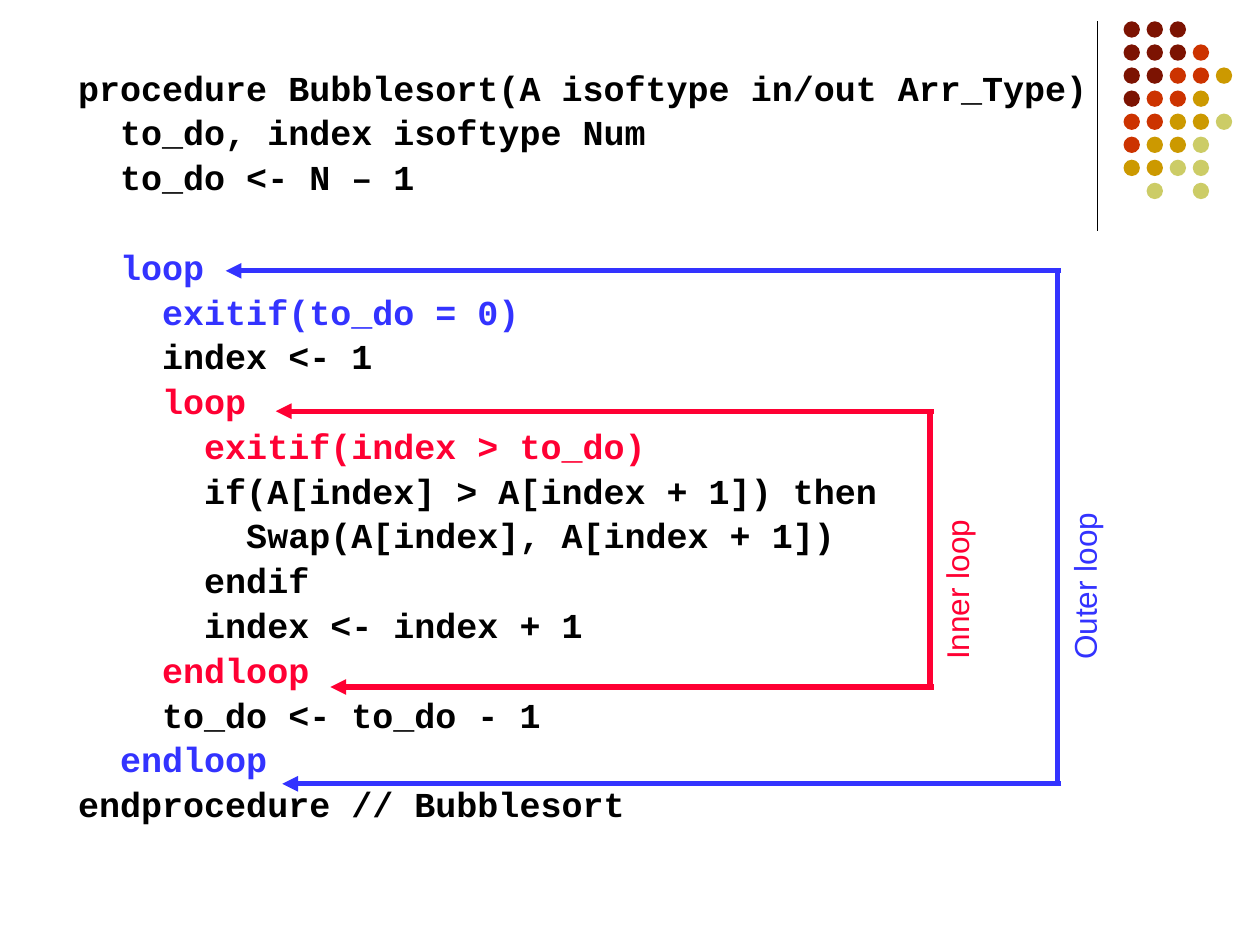
from lxml import etree
from pptx import Presentation
from pptx.dml.color import RGBColor
from pptx.enum.shapes import MSO_CONNECTOR, MSO_SHAPE
from pptx.enum.text import MSO_ANCHOR, MSO_AUTO_SIZE
from pptx.oxml.ns import qn
from pptx.util import Cm, Pt

STRAIGHT = MSO_CONNECTOR.STRAIGHT
OVAL = MSO_SHAPE.OVAL
TOP = MSO_ANCHOR.TOP
NO_AUTOFIT = MSO_AUTO_SIZE.NONE

COLORS = {
    "code": "000000", "outer": "3333FF", "inner": "FF0033",
    "maroon": "7C1302", "red": "CC3300", "gold": "CC9900", "olive": "CCCC66",
}


def color(name):
    return RGBColor.from_string(COLORS[name])


def add_line(x1, y1, x2, y2, color_name, width, arrow=False):
    line = slide.shapes.add_connector(STRAIGHT, Cm(x1), Cm(y1), Cm(x2), Cm(y2))
    line.line.color.rgb = color(color_name)
    line.line.width = Pt(width)
    if arrow:
        etree.SubElement(line.line._get_or_add_ln(), qn("a:tailEnd"), type="triangle")
    etree.SubElement(line._element.spPr, qn("a:effectLst"))


prs = Presentation()
prs.slide_width, prs.slide_height = Cm(25.4), Cm(19.05)
slide = prs.slides.add_slide(prs.slide_layouts[1])
title = slide.shapes.title
title._element.getparent().remove(title._element)

# Corner decoration: a rule and a grid of dots
add_line(22.12, 0.43, 22.12, 4.65, "code", 0.75)
DOT_ROWS = ["MMM", "MMMR", "MMRRG", "MRRG", "RRGGO", "RGGO", "GGOO", " O O"]
DOT_COLORS = {"M": "maroon", "R": "red", "G": "gold", "O": "olive"}
DOT_SIZE = 0.33
DOT_PITCH = 1.86 / 4
for row, letters in enumerate(DOT_ROWS):
    for column, letter in enumerate(letters):
        if letter == " ":
            continue
        dot = slide.shapes.add_shape(
            OVAL, Cm(22.65 + column * DOT_PITCH), Cm(0.43 + row * DOT_PITCH),
            Cm(DOT_SIZE), Cm(DOT_SIZE))
        dot.shadow.inherit = False
        dot.fill.solid()
        dot.fill.fore_color.rgb = color(DOT_COLORS[letter])
        dot.line.fill.background()

# Pseudocode: line and colour
CODE = [
    ("procedure Bubblesort(A isoftype in/out Arr_Type)", "code"),
    ("  to_do, index isoftype Num", "code"),
    ("  to_do <- N – 1", "code"),
    ("  loop", "outer"),
    ("    exitif(to_do = 0)", "outer"),
    ("    index <- 1", "code"),
    ("    loop", "inner"),
    ("      exitif(index > to_do)", "inner"),
    ("      if(A[index] > A[index + 1]) then", "code"),
    ("        Swap(A[index], A[index + 1])", "code"),
    ("      endif", "code"),
    ("      index <- index + 1", "code"),
    ("    endloop", "inner"),
    ("    to_do <- to_do - 1", "code"),
    ("  endloop", "outer"),
    ("endprocedure // Bubblesort", "code"),
]
LINE_GAP, SECTION_GAP = 4, 29.6
SECTION_START = 3
procedure = slide.placeholders[1]
procedure.left, procedure.top = Cm(1.32), Cm(1.3)
procedure.width, procedure.height = Cm(22.91), Cm(16.08)
frame = procedure.text_frame
frame.auto_size = NO_AUTOFIT
frame.vertical_anchor = TOP
for number, (code, color_name) in enumerate(CODE):
    paragraph = frame.paragraphs[0] if number == 0 else frame.add_paragraph()
    paragraph.text = code
    properties = paragraph._p.get_or_add_pPr()
    properties.set("marL", "0")
    properties.set("indent", "0")
    etree.SubElement(properties, qn("a:buNone"))
    paragraph.line_spacing = 0.9
    if number == 0:
        paragraph.space_before = Pt(0)
    else:
        paragraph.space_before = Pt(SECTION_GAP if number == SECTION_START else LINE_GAP)
    paragraph.font.name = "Courier New"
    paragraph.font.size = Pt(20)
    paragraph.font.bold = True
    paragraph.font.color.rgb = color(color_name)

# Loop brackets: colour, side x, top y, bottom y, arrow tips at top and bottom,
# then the label with its centre and length
LOOPS = [
    ("inner", 18.75, 8.29, 13.85, 5.56, 6.66, "Inner loop", 19.41, 11.25, 4.6),
    ("outer", 21.32, 5.46, 15.8, 4.55, 5.69, "Outer loop", 21.99, 11.16, 4.78),
]
OVERLAP = 0.07
LABEL_HEIGHT = 1.27
for name, side, top, bottom, top_tip, bottom_tip, text, mid_x, mid_y, length in LOOPS:
    for y, tip in ((top, top_tip), (bottom, bottom_tip)):
        add_line(side + OVERLAP, y, tip, y, name, 3, arrow=True)
    add_line(side, top, side, bottom, name, 3)

    label = slide.shapes.add_textbox(
        Cm(mid_x - length / 2), Cm(mid_y - LABEL_HEIGHT / 2), Cm(length), Cm(LABEL_HEIGHT))
    label.rotation = 270
    label.text_frame.word_wrap = True
    label_text = label.text_frame.paragraphs[0]
    label_text.text = text
    label_text.font.name = "Arial"
    label_text.font.size = Pt(18)
    label_text.font.color.rgb = color(name)

prs.save("out.pptx")
